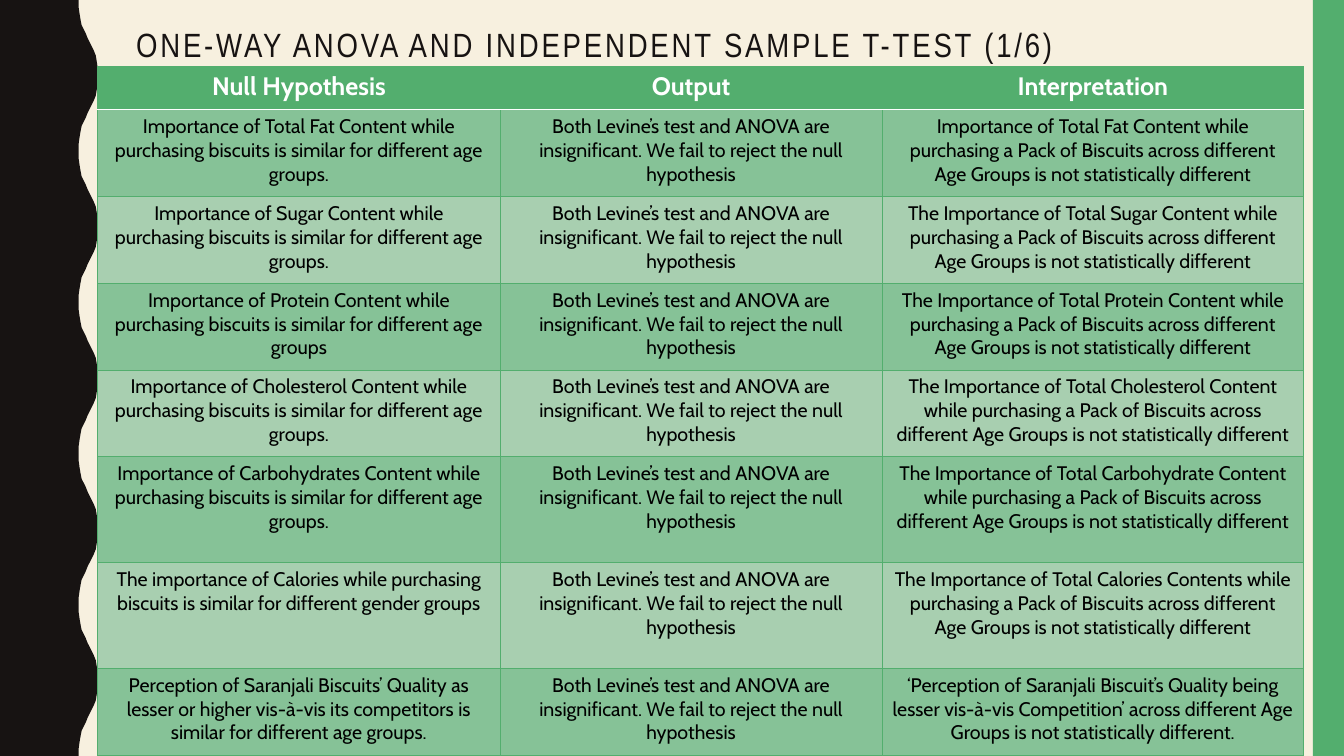
"""Build the ANOVA and t-test hypothesis table slide."""
from dataclasses import dataclass

from lxml.etree import SubElement
from pptx import Presentation
from pptx.dml.color import RGBColor
from pptx.enum.shapes import MSO_SHAPE
from pptx.enum.text import MSO_ANCHOR, PP_ALIGN
from pptx.oxml.ns import qn
from pptx.util import Inches, Pt


@dataclass(frozen=True)
class Theme:
    paper: str = "F7F0DF"
    ink: str = "171312"
    green: str = "53AE6E"
    band_dark: str = "86C297"
    band_light: str = "A8CFB0"
    white: str = "FFFFFF"
    black: str = "000000"
    title_font: str = "Arial Narrow"
    body_font: str = "Cabin"
    title_size: int = 24
    header_size: int = 18
    body_size: int = 14


THEME = Theme()

WAVE_PERIOD = 1.5
WAVE_COUNT = 5
WAVE_RISE = [
    (0.78, 0), (0.78, 0.07), (0.79, 0.14), (0.8, 0.2), (0.81, 0.25),
    (0.83, 0.29), (0.85, 0.33), (0.87, 0.38), (0.89, 0.42), (0.91, 0.46),
    (0.93, 0.5), (0.95, 0.55), (0.96, 0.61), (0.97, 0.68), (0.97, 0.75),
]

COLUMN_WIDTHS = [3.99, 3.79, 4.18]
ROW_HEIGHTS = [0.43, 0.86, 0.86, 0.86, 0.86, 1.05, 1.05, 0.86]
HEADERS = ("Null Hypothesis", "Output", "Interpretation")
OUTPUT = ("Both Levine’s test and ANOVA are insignificant. "
          "We fail to reject the null hypothesis")
HYPOTHESES = [
    ("Importance of Total Fat Content while purchasing biscuits is similar for different age groups.",
     "Importance of Total Fat Content while purchasing a Pack of Biscuits across different "
     "Age Groups is not statistically different"),
    ("Importance of Sugar Content while purchasing biscuits is similar for different age groups.",
     "The Importance of Total Sugar Content while purchasing a Pack of Biscuits across different "
     "Age Groups is not statistically different"),
    ("Importance of Protein Content while purchasing biscuits is similar for different age groups",
     "The Importance of Total Protein Content while purchasing a Pack of Biscuits across different "
     "Age Groups is not statistically different"),
    ("Importance of Cholesterol Content while purchasing biscuits is similar for different age groups.",
     "The Importance of Total Cholesterol Content while purchasing a Pack of Biscuits across "
     "different Age Groups is not statistically different"),
    ("Importance of Carbohydrates Content while purchasing biscuits is similar for different age groups.",
     "The Importance of Total Carbohydrate Content while purchasing a Pack of Biscuits across "
     "different Age Groups is not statistically different"),
    ("The importance of Calories while purchasing biscuits is similar for different gender groups",
     "The Importance of Total Calories Contents while purchasing a Pack of Biscuits across different "
     "Age Groups is not statistically different"),
    ("Perception of Saranjali Biscuits’ Quality as lesser or higher vis-à-vis its competitors is "
     "similar for different age groups.",
     "‘Perception of Saranjali Biscuit’s Quality being lesser vis-à-vis Competition’ across different "
     "Age Groups is not statistically different."),
]


def rgb(color):
    """Turn a hex string into a colour."""
    return RGBColor.from_string(color)


def write(tf, text, *, font, size, color, bold=False, align=PP_ALIGN.LEFT,
          line_spacing=None, tracking=None):
    """Put one formatted run into a text frame."""
    p = tf.paragraphs[0]
    p.alignment = align
    if line_spacing:
        p.line_spacing = line_spacing
    r = p.add_run()
    r.text = text
    r.font.name = font
    r.font.size = Pt(size)
    r.font.bold = bold
    r.font.color.rgb = rgb(color)
    if tracking:
        r.font._element.set("spc", str(tracking * 100))


def paint(sp, color):
    """Give a shape a plain fill without line or shadow."""
    sp.shadow.inherit = False
    sp.fill.solid()
    sp.fill.fore_color.rgb = rgb(color)
    sp.line.fill.background()


def add_wave(s):
    """Draw the dark wavy band on the left edge."""
    period = WAVE_RISE + [(x, WAVE_PERIOD - y) for x, y in WAVE_RISE[-2::-1]]
    edge = [(x, y + n * WAVE_PERIOD) for n in range(WAVE_COUNT) for x, y in period]
    outline = edge + [(0, WAVE_COUNT * WAVE_PERIOD)]
    builder = s.shapes.build_freeform(0, 0)
    builder.add_line_segments([(Inches(x), Inches(y)) for x, y in outline], close=True)
    paint(builder.convert_to_shape(), THEME.ink)


def add_side_bar(s):
    """Draw the green bar on the right edge."""
    paint(s.shapes.add_shape(MSO_SHAPE.RECTANGLE, Inches(13.02), 0,
                             Inches(0.31), Inches(7.5)), THEME.green)


def add_title(s, text):
    """Place and format the title placeholder."""
    title = s.shapes.title
    title.left, title.top = Inches(1.25), Inches(0.21)
    title.width, title.height = Inches(11.13), Inches(0.56)
    tf = title.text_frame
    tf.vertical_anchor = MSO_ANCHOR.TOP
    tf.margin_top = Inches(0.07)
    write(tf, text, font=THEME.title_font, size=THEME.title_size,
          color=THEME.ink, line_spacing=0.9, tracking=2)


def set_borders(cell, top, bottom):
    """Draw the four cell borders; top and bottom are colour and width."""
    tcPr = cell._tc.get_or_add_tcPr()
    side = (THEME.green, 0.5)
    for tag, (color, width) in zip(("lnL", "lnR", "lnT", "lnB"), (side, side, top, bottom)):
        ln = SubElement(tcPr, qn(f"a:{tag}"), w=str(Pt(width)))
        SubElement(SubElement(ln, qn("a:solidFill")), qn("a:srgbClr"), val=color)


def fill_cell(cell, text, row):
    """Style one table cell according to its row."""
    thin, rule = (THEME.green, 0.5), (THEME.white, 1)
    set_borders(cell, rule if row == 1 else thin, rule if row == 0 else thin)
    header = row == 0
    band = THEME.band_dark if row % 2 else THEME.band_light
    cell.fill.solid()
    cell.fill.fore_color.rgb = rgb(THEME.green if header else band)
    write(cell.text_frame, text, font=THEME.body_font, bold=header,
          size=THEME.header_size if header else THEME.body_size,
          color=THEME.white if header else THEME.black, align=PP_ALIGN.CENTER)


def add_hypothesis_table(s):
    """Add the table of hypotheses, outputs and interpretations."""
    rows = [HEADERS] + [(null, OUTPUT, meaning) for null, meaning in HYPOTHESES]
    table = s.shapes.add_table(len(rows), len(HEADERS), Inches(0.97), Inches(0.66),
                               Inches(sum(COLUMN_WIDTHS)), Inches(sum(ROW_HEIGHTS))).table
    for column, width in zip(table.columns, COLUMN_WIDTHS):
        column.width = Inches(width)
    for i, (height, texts) in enumerate(zip(ROW_HEIGHTS, rows)):
        table.rows[i].height = Inches(height)
        for j, text in enumerate(texts):
            fill_cell(table.cell(i, j), text, i)


def main():
    """Build and save the slide."""
    prs = Presentation()
    prs.slide_width, prs.slide_height = Inches(13.33), Inches(7.5)
    s = prs.slides.add_slide(prs.slide_layouts.get_by_name("Title Only"))
    s.background.fill.solid()
    s.background.fill.fore_color.rgb = rgb(THEME.paper)
    add_wave(s)
    add_side_bar(s)
    add_title(s, "ONE-WAY ANOVA AND INDEPENDENT SAMPLE T-TEST (1/6)")
    add_hypothesis_table(s)
    prs.save("out.pptx")


if __name__ == "__main__":
    main()
